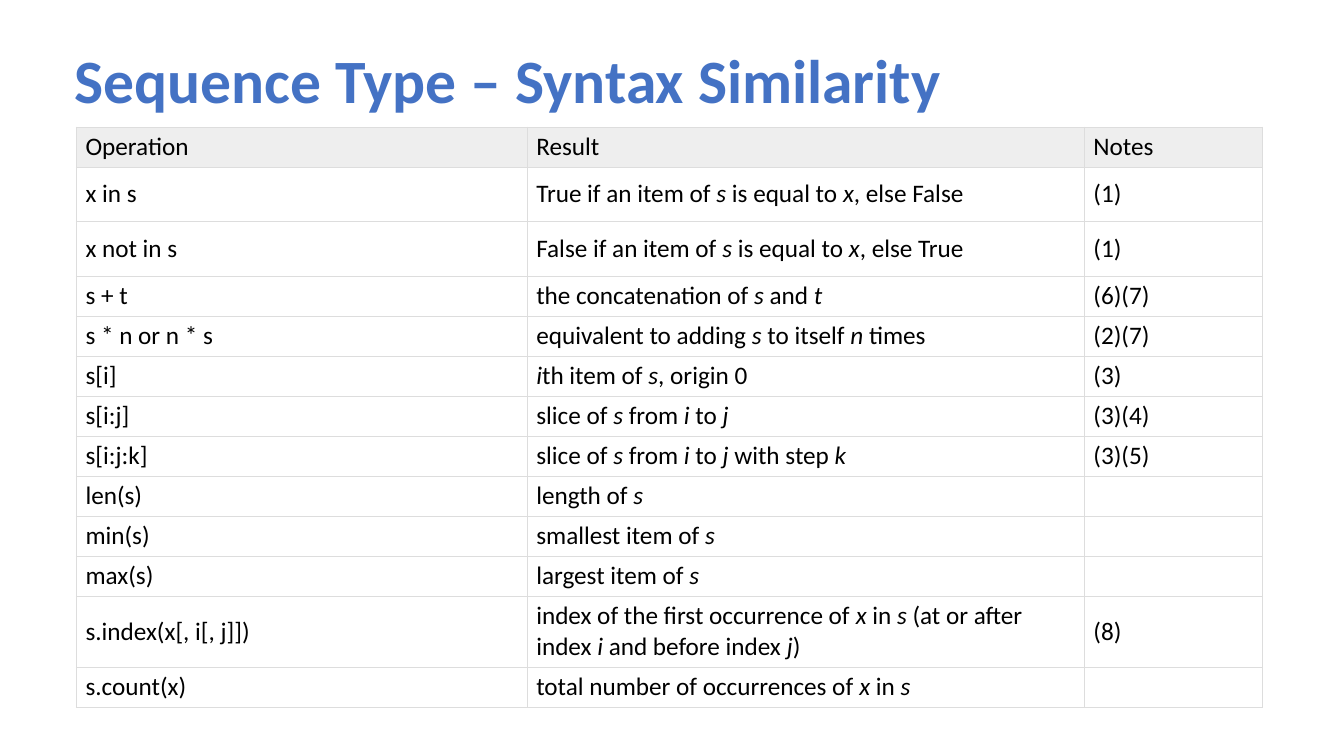
from dataclasses import dataclass
from lxml.etree import SubElement as Sub
from pptx import Presentation
from pptx.dml.color import RGBColor as RGB
from pptx.enum.text import MSO_ANCHOR as Anchor, MSO_AUTO_SIZE as Fit, PP_ALIGN as Align
from pptx.oxml.ns import qn
from pptx.util import Pt


@dataclass(frozen=True)
class Theme:
    face: str = "Calibri"
    blue: str = "4472C4"
    ink: str = "000000"
    head: str = "EEEEEE"
    body: str = "FFFFFF"
    rule: str = "DDDDDD"
    big: int = 44
    text: int = 18
    line: float = 0.5


LOOK = Theme()
COLS = (322, 398, 127.5)
LOW, MID, TALL = 27.4, 39, 48.2
ROWS = (
    (LOW, "Operation", "Result", "Notes"),
    (MID, "x in s", "True if an item of _s_ is equal to _x_, else False", "(1)"),
    (MID, "x not in s", "False if an item of _s_ is equal to _x_, else True", "(1)"),
    (LOW, "s + t", "the concatenation of _s_ and _t_", "(6)(7)"),
    (LOW, "s * n or n * s", "equivalent to adding _s_ to itself _n_ times", "(2)(7)"),
    (LOW, "s[i]", "_i_th item of _s_, origin 0", "(3)"),
    (LOW, "s[i:j]", "slice of _s_ from _i_ to _j_", "(3)(4)"),
    (LOW, "s[i:j:k]", "slice of _s_ from _i_ to _j_ with step _k_", "(3)(5)"),
    (LOW, "len(s)", "length of _s_", ""),
    (LOW, "min(s)", "smallest item of _s_", ""),
    (LOW, "max(s)", "largest item of _s_", ""),
    (TALL, "s.index(x[, i[, j]])",
     "index of the first occurrence of _x_ in _s_ "
     "(at or after index _i_ and before index _j_)", "(8)"),
    (LOW, "s.count(x)", "total number of occurrences of _x_ in _s_", ""),
)


def apply(item, form):
    for key, value in form.items():
        setattr(item, key, value)


def style(font, size, tint, **form):
    apply(font, {"name": LOOK.face, "size": Pt(size), **form})
    font.color.rgb = RGB.from_string(tint)


def write(para, text):
    for spot, part in enumerate(text.split("_")):
        if part:
            run = para.add_run()
            run.text = part
            style(run.font, LOOK.text, LOOK.ink, italic=spot % 2 == 1)


def frame(cell):
    props = cell._tc.get_or_add_tcPr()
    for spot, side in enumerate(("lnL", "lnR", "lnT", "lnB")):
        edge = Sub(props, qn(f"a:{side}"), w=str(Pt(LOOK.line)))
        Sub(Sub(edge, qn("a:solidFill")), qn("a:srgbClr"), val=LOOK.rule)
        props.insert(spot, edge)


def heading(slide, text, left, top, width, height):
    title = slide.shapes.title
    apply(title, {"left": Pt(left), "top": Pt(top),
                  "width": Pt(width), "height": Pt(height)})
    title.text = text
    apply(title.text_frame, {"vertical_anchor": Anchor.BOTTOM, "word_wrap": True,
                             "auto_size": Fit.NONE})
    para = title.text_frame.paragraphs[0]
    apply(para, {"alignment": Align.LEFT, "line_spacing": 0.9})
    style(para.runs[0].font, LOOK.big, LOOK.blue, bold=True)


def grid(slide, rows, left, top, width, height):
    table = slide.shapes.add_table(len(rows), len(COLS), Pt(left), Pt(top),
                                   Pt(width), Pt(height)).table
    apply(table, {"first_row": False, "horz_banding": False})
    for col, share in zip(table.columns, COLS):
        col.width = Pt(width * share / sum(COLS))
    for y, (tall, *texts) in enumerate(rows):
        table.rows[y].height = Pt(tall)
        for x, text in enumerate(texts):
            cell = table.cell(y, x)
            apply(cell, {"vertical_anchor": Anchor.MIDDLE,
                         "margin_left": Pt(6.7), "margin_right": Pt(6.7),
                         "margin_top": Pt(3.3), "margin_bottom": Pt(3.3)})
            cell.fill.solid()
            cell.fill.fore_color.rgb = RGB.from_string(LOOK.body if y else LOOK.head)
            write(cell.text_frame.paragraphs[0], text)
            frame(cell)


def main():
    deck = Presentation()
    apply(deck, {"slide_width": Pt(960), "slide_height": Pt(540)})
    slide = deck.slides.add_slide(deck.slide_layouts.get_by_name("Title Only"))
    heading(slide, "Sequence Type – Syntax Similarity", 46, 31, 828, 56)
    grid(slide, ROWS, 54.4, 90.7, sum(COLS), 409.7)
    deck.save("out.pptx")


if __name__ == "__main__":
    main()
